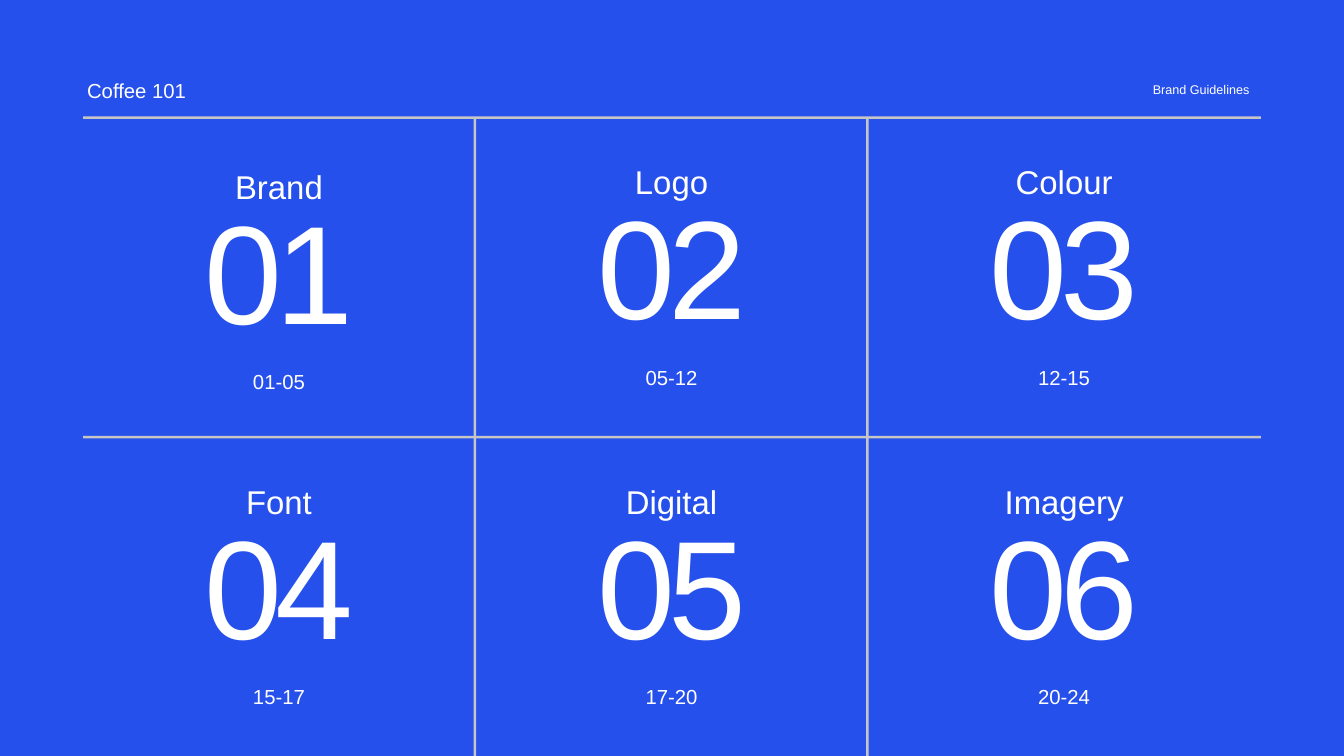
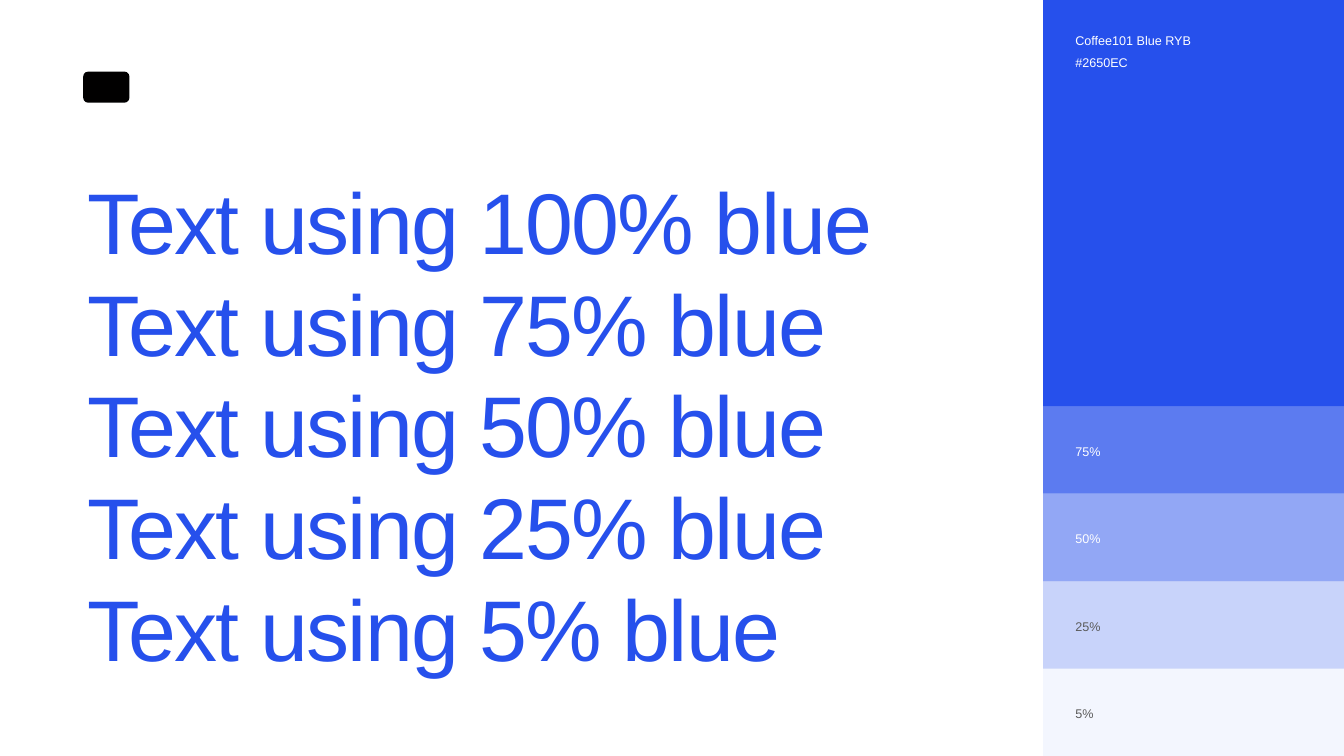
from dataclasses import dataclass
from pptx import Presentation
from pptx.dml.color import RGBColor
from pptx.enum.shapes import MSO_SHAPE
from pptx.enum.text import MSO_ANCHOR, MSO_AUTO_SIZE, PP_ALIGN
from pptx.oxml.ns import qn
from pptx.util import Pt
from lxml import etree


@dataclass(frozen=True)
class Theme:
    font: str = "Arial"
    blue: str = "2650EC"
    white: str = "FFFFFF"
    rule: str = "C5C5C5"
    grey: str = "5B5B5B"
    black: str = "010000"
    caption: int = 18
    label: int = 29
    heading: int = 47
    sample: int = 123
    number: int = 200
    inset: float = 5.6
    rule_weight: float = 3.5
    margin: float = 118.8


THEME = Theme()
WIDTH, HEIGHT = 1920.24, 1080
CAPTION_H, LABEL_H, HEADING_H, SAMPLE_H, NUMBER_H = 31, 42.5, 61.9, 145.2, 229

CHAPTERS = [
    [("Brand", "01", "01-05", 148.3), ("Logo", "02", "05-12", 148.3), ("Colour", "03", "12-15", 164.9)],
    [("Font", "04", "15-17", 148.3), ("Digital", "05", "17-20", 148.3), ("Imagery", "06", "20-24", 187.9)],
]
TINTS = [100, 75, 50, 25, 5]


def add_slide(prs, background):
    slide = prs.slides.add_slide(prs.slide_layouts[6])
    slide.background.fill.solid()
    slide.background.fill.fore_color.rgb = RGBColor.from_string(background)
    return slide


def add_block(slide, x, y, w, h, color, opacity=100, preset=MSO_SHAPE.RECTANGLE):
    block = slide.shapes.add_shape(preset, Pt(x), Pt(y), Pt(w), Pt(h))
    block.shadow.inherit = False
    block.line.fill.background()
    block.fill.solid()
    block.fill.fore_color.rgb = RGBColor.from_string(color)
    if opacity < 100:
        color_node = block.fill._xPr.find(qn("a:solidFill"))[0]
        etree.SubElement(color_node, qn("a:alpha")).set("val", str(opacity * 1000))


def add_text(slide, x, y, w, h, text, size, color=THEME.white,
             align=PP_ALIGN.LEFT, line_spacing=1.2, tracking=0):
    box = slide.shapes.add_textbox(Pt(x), Pt(y), Pt(w), Pt(h))
    frame = box.text_frame
    frame.word_wrap = True
    frame.auto_size = MSO_AUTO_SIZE.SHAPE_TO_FIT_TEXT
    frame.vertical_anchor = MSO_ANCHOR.MIDDLE
    frame.margin_left = frame.margin_right = Pt(THEME.inset)
    frame.margin_top = frame.margin_bottom = Pt(THEME.inset)
    paragraph = frame.paragraphs[0]
    paragraph.alignment = align
    paragraph.line_spacing = line_spacing
    run = paragraph.add_run()
    run.text = text
    run.font.name = THEME.font
    run.font.size = Pt(size)
    run.font.color.rgb = RGBColor.from_string(color)
    if tracking:
        run.font._element.set("spc", str(int(tracking * 100)))


def add_header(slide, x, y, w):
    add_text(slide, x, y, 254, LABEL_H, "Coffee 101", THEME.label)
    add_text(slide, x + w - 160, y + 5.8, 160, CAPTION_H, "Brand Guidelines", THEME.caption)


def add_chapter(slide, center, y, chapter):
    title, number, pages, title_w = chapter
    add_text(slide, center - title_w / 2, y, title_w, HEADING_H, title,
             THEME.heading, align=PP_ALIGN.CENTER)
    y += HEADING_H
    add_text(slide, center - 137.2, y, 274.4, NUMBER_H, number, THEME.number,
             align=PP_ALIGN.CENTER, line_spacing=0.8, tracking=-10)
    y += NUMBER_H
    add_text(slide, center - 74.2, y, 148.3, LABEL_H, pages, THEME.label,
             align=PP_ALIGN.CENTER)


def add_chapter_grid(slide, x, y, w, h):
    col_w = w / len(CHAPTERS[0])
    row_h = h / len(CHAPTERS)
    for row in range(len(CHAPTERS)):
        add_block(slide, x, y + row * row_h, w, THEME.rule_weight, THEME.rule)
    for col in range(1, len(CHAPTERS[0])):
        add_block(slide, x + col * col_w - 3, y + 3, THEME.rule_weight,
                  HEIGHT - y - 3, THEME.rule)
    for row, chapters in enumerate(CHAPTERS):
        for col, chapter in enumerate(chapters):
            nudge = 6.9 if row == col == 0 else 0
            add_chapter(slide, x + (col + 0.5) * col_w - 0.6,
                        y + row * row_h + 56.5 + nudge, chapter)


def add_swatches(slide, x, y, w, h):
    main_h = 580.3
    tint_h = (h - main_h) / (len(TINTS) - 1)
    label_x, label_w = x + 40.3, 220.3
    add_block(slide, x, y, w, main_h, THEME.blue)
    for i, name in enumerate(["Coffee101 Blue RYB", "#2650EC"]):
        add_text(slide, label_x, y + 40.3 + i * CAPTION_H, label_w, CAPTION_H,
                 name, THEME.caption)
    for i, tint in enumerate(TINTS[1:]):
        top = y + main_h + i * tint_h
        add_block(slide, x, top, w, tint_h, THEME.blue, tint)
        add_text(slide, label_x, top + (tint_h - CAPTION_H) / 2, label_w, CAPTION_H,
                 f"{tint}%", THEME.caption, THEME.white if tint >= 50 else THEME.grey)


def add_text_samples(slide, x, y, w):
    for i, tint in enumerate(TINTS):
        add_text(slide, x, y + i * SAMPLE_H, w, SAMPLE_H, f"Text using {tint}% blue",
                 THEME.sample, THEME.blue, line_spacing=0.9, tracking=-2.5)


def build_contents(prs):
    slide = add_slide(prs, THEME.blue)
    content_w = WIDTH - 2 * THEME.margin
    add_header(slide, THEME.margin, 103.7, content_w)
    add_chapter_grid(slide, THEME.margin, 166.3, content_w, 913)


def build_colour(prs):
    slide = add_slide(prs, THEME.white)
    add_swatches(slide, 1490.4, 0, WIDTH - 1490.4, HEIGHT)
    add_block(slide, THEME.margin, 102.2, 66.2, 44.6, THEME.black,
              preset=MSO_SHAPE.ROUNDED_RECTANGLE)
    add_text_samples(slide, THEME.margin, 251.3, 1206.7)


prs = Presentation()
prs.slide_width, prs.slide_height = Pt(WIDTH), Pt(HEIGHT)
build_contents(prs)
build_colour(prs)
prs.save("out.pptx")
